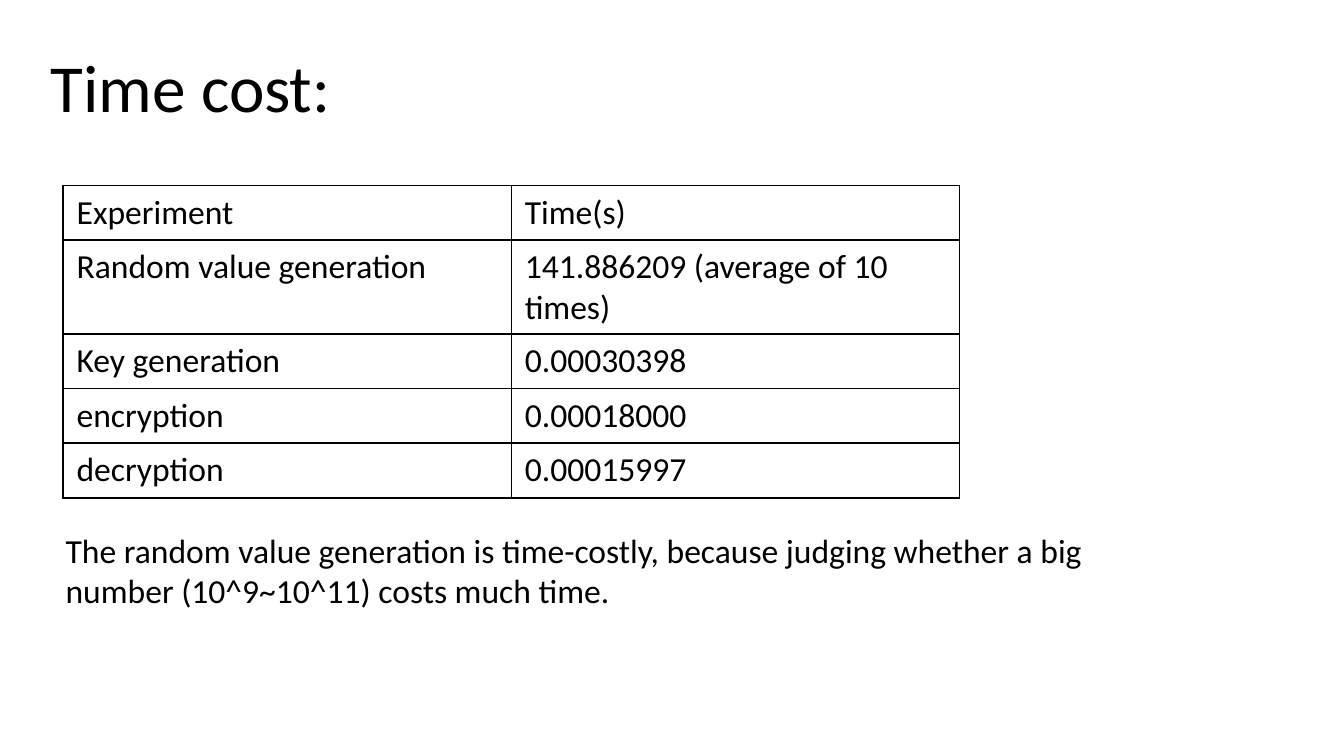
from dataclasses import dataclass

from lxml import etree
from pptx import Presentation
from pptx.dml.color import RGBColor
from pptx.enum.text import MSO_AUTO_SIZE
from pptx.oxml.ns import qn
from pptx.util import Inches, Pt

FIT_SHAPE = MSO_AUTO_SIZE.SHAPE_TO_FIT_TEXT


@dataclass(frozen=True)
class Theme:
    font: str = "Calibri"
    ink: str = "000000"
    title: int = 36
    body: int = 18
    border: int = 1


THEME = Theme()

ROWS = [
    ("Experiment", "Time(s)"),
    ("Random value generation", "141.886209 (average of 10 times)"),
    ("Key generation", "0.00030398"),
    ("encryption", "0.00018000"),
    ("decryption", "0.00015997"),
]
CONCLUSION = (
    "The random value generation is time-costly, because judging whether "
    "a big number (10^9~10^11) costs much time."
)


def write(tf, text, size):
    r = tf.paragraphs[0].add_run()
    r.text = text
    for name, value in {"name": THEME.font, "size": Pt(size)}.items():
        setattr(r.font, name, value)
    r.font.color.rgb = RGBColor.from_string(THEME.ink)


def add_text(s, box, text, size):
    tf = s.shapes.add_textbox(*map(Inches, box)).text_frame
    for name, value in {"word_wrap": True, "auto_size": FIT_SHAPE}.items():
        setattr(tf, name, value)
    write(tf, text, size)


def set_borders(cell):
    tcPr = cell._tc.get_or_add_tcPr()
    for i, side in enumerate(("a:lnL", "a:lnR", "a:lnT", "a:lnB")):
        ln = etree.Element(qn(side), w=str(Pt(THEME.border)))
        fill = etree.SubElement(ln, qn("a:solidFill"))
        etree.SubElement(fill, qn("a:srgbClr"), val=THEME.ink)
        tcPr.insert(i, ln)


def add_time_table(s, box, rows):
    left, top, width, height = map(Inches, box)
    frame = s.shapes.add_table(len(rows), len(rows[0]), left, top, width, height)
    table = frame.table
    for flag in ("first_row", "horz_banding"):
        setattr(table, flag, False)
    for i, row in enumerate(rows):
        for j, text in enumerate(row):
            cell = table.cell(i, j)
            cell.fill.background()
            set_borders(cell)
            write(cell.text_frame, text, THEME.body)


def main():
    prs = Presentation()
    prs.slide_width = Inches(10)
    prs.slide_height = prs.slide_width * 9 // 16
    s = prs.slides.add_slide(prs.slide_layouts[6])
    add_text(s, (0.28, 0.29, 5.47, 0.71), "Time cost:", THEME.title)
    add_time_table(s, (0.47, 1.38, 6.67, 2.03), ROWS)
    add_text(s, (0.39, 3.89, 7.84, 0.71), CONCLUSION, THEME.body)
    prs.save("out.pptx")


if __name__ == "__main__":
    main()
